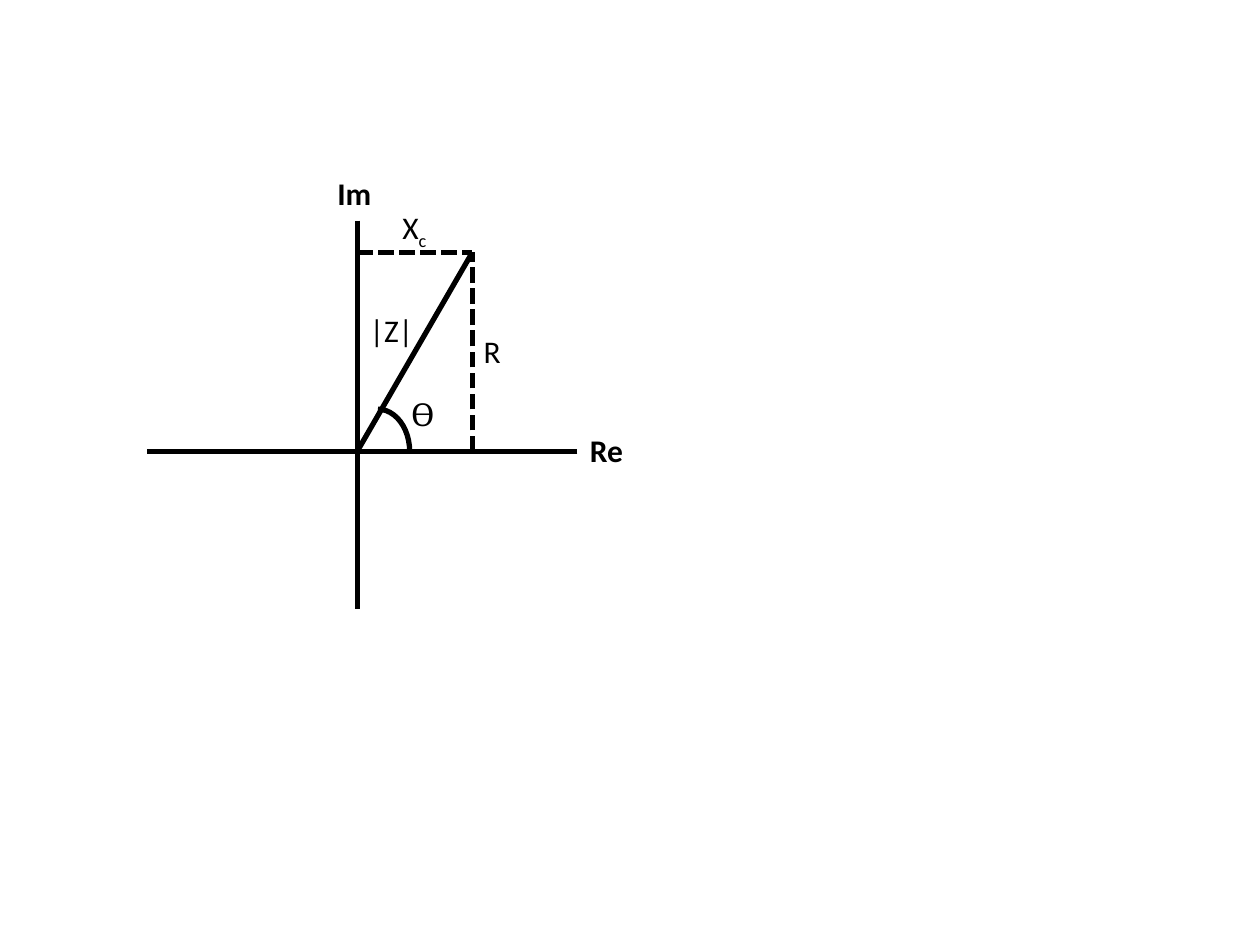
from pptx import Presentation
from pptx.dml.color import RGBColor
from pptx.enum.dml import MSO_LINE_DASH_STYLE as Dash
from pptx.enum.shapes import MSO_CONNECTOR as Connector, MSO_SHAPE as Shape
from pptx.enum.text import MSO_AUTO_SIZE as AutoSize
from pptx.oxml.ns import qn
from pptx.util import Cm, Pt
from lxml.etree import SubElement


def colour(hex_code):
    return RGBColor.from_string(hex_code)


class PhasorDiagram:
    """Draws lines, arcs and labels of one style in a group on a slide."""

    ink = "000000"
    weight = Pt(3)
    size = Pt(18)
    label_height = 1.02

    def __init__(self, slide):
        self.shapes = slide.shapes.add_group_shape().shapes

    def stroke(self, line):
        line.color.rgb = colour(self.ink)
        line.width = self.weight

    def line(self, start, end, dashed=False):
        segment = self.shapes.add_connector(
            Connector.STRAIGHT, *(Cm(value) for value in (*start, *end)))
        self.stroke(segment.line)
        if dashed:
            segment.line.dash_style = Dash.SQUARE_DOT
        SubElement(segment._element.spPr, qn("a:effectLst"))

    def arc(self, centre, radius_x, radius_y):
        x, y = centre
        angle = self.shapes.add_shape(
            Shape.ARC, Cm(x - radius_x), Cm(y - radius_y), Cm(2 * radius_x), Cm(2 * radius_y))
        angle.shadow.inherit = False
        angle.fill.background()
        self.stroke(angle.line)

    def label(self, text, left, top, width, subscript="", bold=False, font="Calibri"):
        box = self.shapes.add_textbox(Cm(left), Cm(top), Cm(width), Cm(self.label_height))
        frame = box.text_frame
        frame.word_wrap = False
        frame.auto_size = AutoSize.SHAPE_TO_FIT_TEXT
        paragraph = frame.paragraphs[0]
        paragraph.add_run().text = text
        if subscript:
            index = paragraph.add_run()
            index.text = subscript
            index.font._element.set("baseline", "-25000")
        paragraph.font.name = font
        paragraph.font.size = self.size
        paragraph.font.bold = bold
        paragraph.font.color.rgb = colour(self.ink)


def main():
    deck = Presentation()
    deck.slide_width, deck.slide_height = Cm(25.4), Cm(19.05)
    diagram = PhasorDiagram(deck.slides.add_slide(deck.slide_layouts[6]))

    origin_x, origin_y = origin = (7.2, 9.1)
    tip_x, tip_y = tip = (9.52, 5.09)
    foot = (tip_x, origin_y)

    diagram.line((origin_x, 4.45), (origin_x, 12.28))
    diagram.line((11.64, origin_y), (2.96, origin_y))
    diagram.line(tip, origin)
    diagram.line((origin_x, tip_y), tip, dashed=True)
    diagram.line(foot, tip, dashed=True)

    diagram.label("Im", 6.55, 3.39, 1.19, bold=True)
    diagram.label("Re", 11.64, 8.57, 1.19, bold=True)
    diagram.label("R", 9.5, 6.56, 0.86)
    diagram.label("X", 7.86, 4.07, 1.04, subscript="c")
    diagram.label("|Z|", 7.2, 6.14, 1.4)
    diagram.arc((7.62, origin_y), 0.64, 0.85)
    diagram.label("ϴ", 8.04, 7.83, 0.94, font="Cambria")

    deck.save("out.pptx")


if __name__ == "__main__":
    main()
